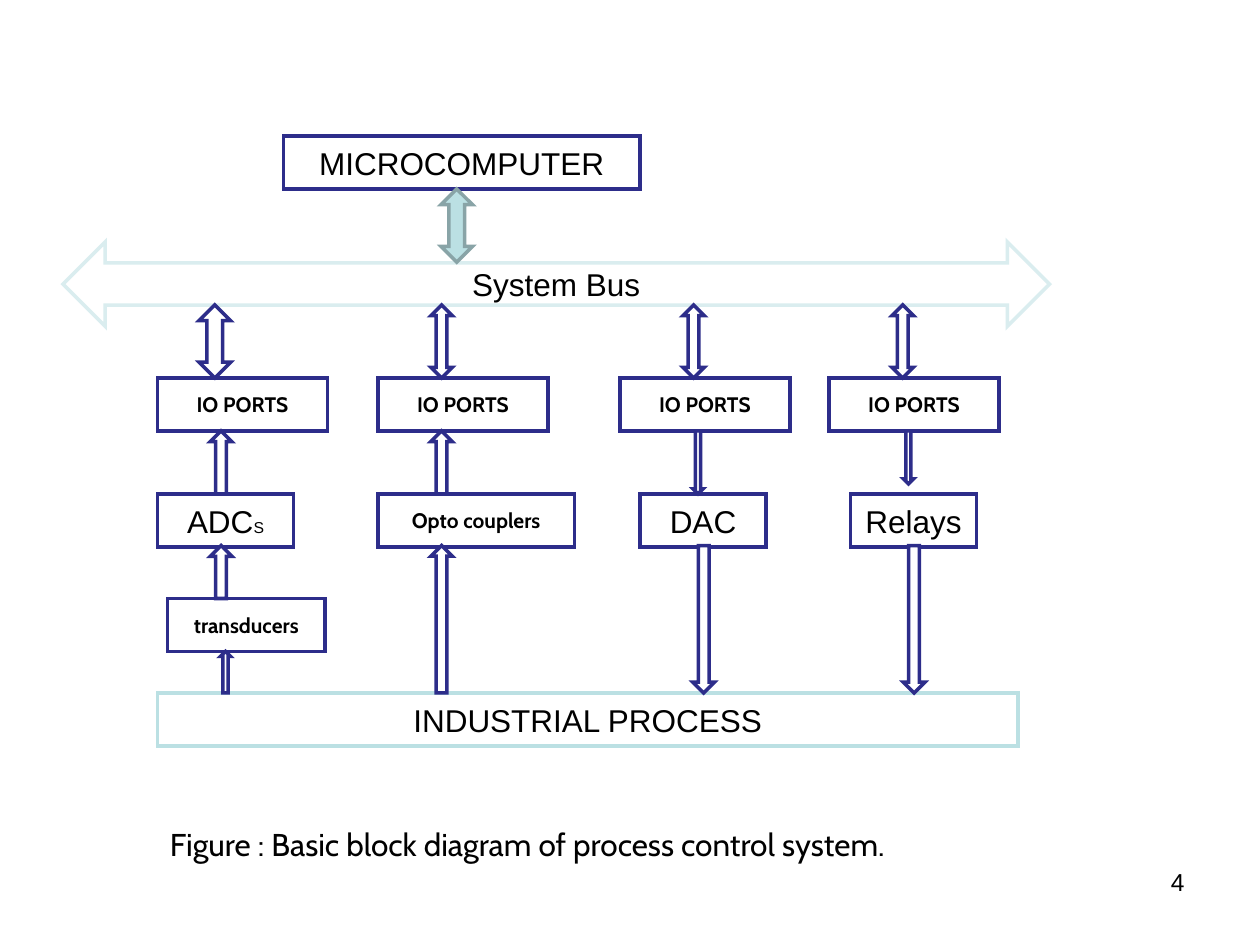
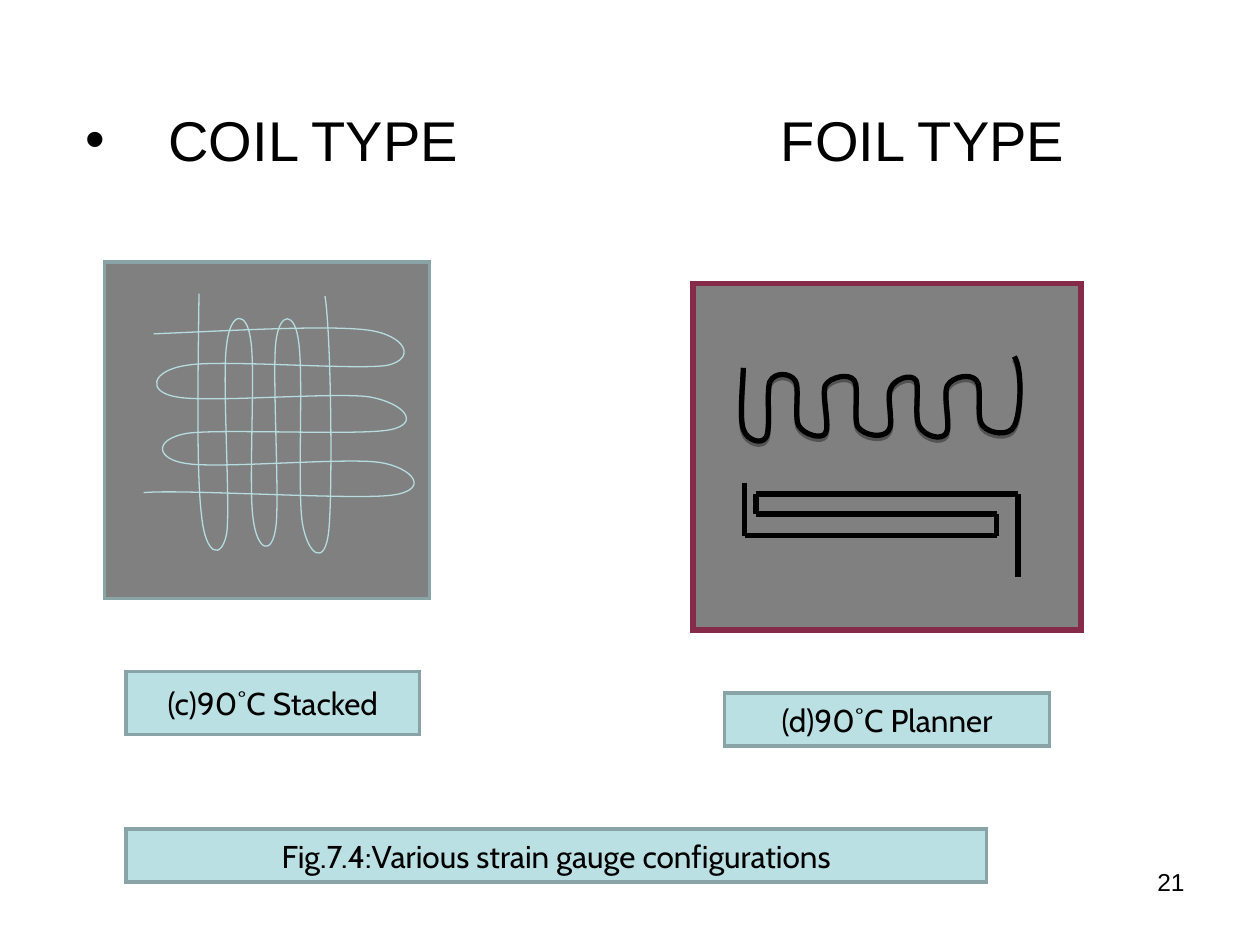
from itertools import pairwise

from lxml.etree import SubElement
from pptx import Presentation
from pptx.dml.color import RGBColor
from pptx.enum.shapes import MSO_CONNECTOR, MSO_SHAPE as SHAPE
from pptx.enum.text import MSO_ANCHOR, PP_ALIGN as ALIGN
from pptx.oxml.ns import qn
from pptx.util import Pt

PX = 9144  # EMU per px, 100 px to the inch
COLORS = {
    "white": "FFFFFF", "black": "000000", "navy": "2D2D8A",
    "aqua": "BBE0E3", "pale": "DAEDEF", "teal": "89A4A7",
    "gray": "808080", "wine": "862A4A", "wire": "B6DCDF",
}
RGB = {name: RGBColor.from_string(value) for name, value in COLORS.items()}
ARIAL, CABIN = "Arial", "Cabin"


def add_block(slide, kind, box, fill="white", line="navy", weight=2):
    """Add a filled preset shape with a sharp-cornered outline and no shadow."""
    sp = slide.shapes.add_shape(kind, *[v * PX for v in box])
    sp.shadow.inherit = False
    sp.fill.solid()
    sp.fill.fore_color.rgb = RGB[fill]
    sp.line.color.rgb = RGB[line]
    sp.line.width = Pt(weight)
    SubElement(sp.line._get_or_add_ln(), qn("a:miter"), lim="800000")
    return sp


def write(sp, text, size=18, font=ARIAL, align=ALIGN.CENTER, bold=False):
    """Append a run to the only paragraph of a shape."""
    tf = sp.text_frame
    tf.word_wrap = True
    p = tf.paragraphs[0]
    p.alignment = align
    r = p.add_run()
    r.text = text
    r.font.size = Pt(size)
    r.font.name = font
    r.font.bold = bold
    r.font.color.rgb = RGB["black"]


prs = Presentation()
prs.slide_width, prs.slide_height = 1000 * PX, 750 * PX
slides = []
for number in ("4", "21"):
    s = prs.slides.add_slide(prs.slide_layouts[6])
    sp = s.shapes.add_textbox(717 * PX, 683 * PX, 233 * PX, 52 * PX)
    write(sp, number, 14, align=ALIGN.RIGHT)
    slides.append(s)
diagram, gauges = slides

# Block diagram: bus, computer, process
bus = add_block(diagram, SHAPE.LEFT_RIGHT_ARROW, (50, 192, 783, 67), line="pale")
write(bus, "System Bus")
computer = add_block(diagram, SHAPE.RECTANGLE, (225, 108, 283, 42))
write(computer, "MICROCOMPUTER")
add_block(diagram, SHAPE.UP_DOWN_ARROW, (350, 150, 25, 58), "aqua", "teal")

for x in (125, 300, 492, 658):
    write(add_block(diagram, SHAPE.RECTANGLE, (x, 300, 135, 42)),
          "IO PORTS", 12, CABIN, bold=True)

for text, x, y, w, size, font in (
    ("ADC", 125, 392, 108, 18, ARIAL),
    ("Opto couplers", 300, 392, 156, 12, CABIN),
    ("DAC", 508, 392, 100, 18, ARIAL),
    ("Relays", 675, 392, 100, 18, ARIAL),
    ("transducers", 133, 475, 125, 12, CABIN),
):
    sp = add_block(diagram, SHAPE.RECTANGLE, (x, y, w, 42))
    write(sp, text, size, font, bold=font == CABIN)
    if text == "ADC":
        write(sp, "S", 9)

process = add_block(diagram, SHAPE.RECTANGLE, (125, 550, 683, 42), line="aqua")
write(process, "INDUSTRIAL PROCESS")

for x, w in ((158, 25), (342, 17), (542, 17), (708, 17)):
    add_block(diagram, SHAPE.UP_DOWN_ARROW, (x, 242, w, 58))
for box in ((167, 342, 17, 50), (342, 342, 17, 50), (167, 433, 17, 42),
            (175, 517, 8, 33), (342, 433, 17, 117)):
    add_block(diagram, SHAPE.UP_ARROW, box)
for box in ((550, 433, 17, 117), (717, 433, 17, 117),
            (550, 342, 8, 50), (717, 342, 8, 42)):
    add_block(diagram, SHAPE.DOWN_ARROW, box)

caption = diagram.shapes.add_textbox(125 * PX, 650 * PX, 667 * PX, 40 * PX)
write(caption, "Figure : Basic block diagram of process control system.",
      18, CABIN, ALIGN.LEFT)

# Strain gauges: headings, the first one bulleted
for text, x in (("COIL TYPE", 58), ("FOIL TYPE", 610)):
    sp = gauges.shapes.add_textbox(x * PX, 79 * PX, 330 * PX, 62 * PX)
    write(sp, text, 32, align=ALIGN.LEFT)
    if text == "COIL TYPE":
        pPr = sp.text_frame.paragraphs[0]._p.get_or_add_pPr()
        pPr.set("marL", str(66 * PX))
        pPr.set("indent", str(-66 * PX))
        SubElement(pPr, qn("a:buFont"), typeface=ARIAL)
        SubElement(pPr, qn("a:buChar"), char="•")

add_block(gauges, SHAPE.RECTANGLE, (83, 208, 258, 267), "gray", "teal")
add_block(gauges, SHAPE.RECTANGLE, (550, 225, 308, 275), "gray", "wine", 3.15)

# Each wire is a start point followed by Bézier triples
COIL_ACROSS = [
    (122, 265), (191, 262), (261, 258), (292, 262),
    (322, 266), (331, 285), (307, 290), (283, 294), (175, 285), (148, 290),
    (120, 294), (116, 311), (140, 315), (164, 320), (265, 311), (293, 315),
    (321, 320), (334, 336), (310, 341), (286, 346), (174, 340), (148, 344),
    (121, 349), (124, 365), (149, 368), (175, 372), (274, 363), (301, 367),
    (328, 371), (342, 389), (311, 393), (280, 397), (145, 388), (114, 391),
]
COIL_DOWN = [
    (158, 233), (157, 305), (156, 378), (160, 409),
    (163, 441), (176, 445), (180, 423), (183, 400), (176, 298), (180, 273),
    (183, 247), (196, 246), (199, 270), (203, 293), (197, 387), (201, 412),
    (204, 437), (216, 442), (219, 418), (222, 395), (216, 296), (219, 271),
    (222, 247), (234, 247), (237, 271), (241, 295), (236, 390), (240, 415),
    (244, 440), (258, 451), (261, 421), (264, 391), (263, 268), (258, 235),
]
FOIL_WAVE = [
    (590, 292), (589, 312), (587, 332), (590, 341),
    (593, 350), (605, 353), (608, 347), (612, 341), (608, 311), (611, 303),
    (615, 295), (627, 296), (631, 302), (635, 307), (630, 331), (634, 338),
    (638, 345), (652, 349), (655, 344), (659, 339), (652, 313), (655, 306),
    (659, 299), (674, 296), (678, 302), (682, 307), (677, 333), (681, 339),
    (686, 346), (701, 348), (705, 342), (710, 337), (703, 314), (707, 308),
    (710, 301), (723, 296), (727, 302), (730, 307), (725, 332), (730, 339),
    (734, 346), (747, 350), (751, 344), (755, 338), (748, 313), (752, 306),
    (756, 299), (770, 296), (775, 302), (780, 307), (774, 332), (780, 338),
    (785, 344), (801, 347), (805, 338), (810, 329), (812, 294), (805, 283),
]
for points, color, weight in ((COIL_ACROSS, "wire", 0.75),
                              (COIL_DOWN, "wire", 0.75),
                              (FOIL_WAVE, "black", 3)):
    builder = gauges.shapes.build_freeform(*points[0], scale=PX)
    builder.add_line_segments(points[1:], close=False)
    sp = builder.convert_to_shape()
    sp.shadow.inherit = False
    sp.fill.background()
    sp.line.color.rgb = RGB[color]
    sp.line.width = Pt(weight)
    # Turn every three line segments into one cubic curve
    outline = next(sp._element.iter(qn("a:path")))
    segments = outline.findall(qn("a:lnTo"))
    for i in range(0, len(segments), 3):
        curve = SubElement(outline, qn("a:cubicBezTo"))
        for segment in segments[i:i + 3]:
            curve.append(segment[0])
            outline.remove(segment)

# The foil wave, last of the three, casts a shadow
effects = sp._element.spPr.find(qn("a:effectLst"))
shadow = SubElement(effects, qn("a:outerShdw"), blurRad="0", dist=str(Pt(1.8)),
                    dir="5400000", rotWithShape="0")
tint = SubElement(shadow, qn("a:srgbClr"), val=COLORS["black"])
SubElement(tint, qn("a:alpha"), val="35000")

FOIL_TRACK = [(808, 458), (808, 392), (600, 392), (600, 408),
              (791, 408), (791, 425), (591, 425), (591, 383)]
for start, end in pairwise(FOIL_TRACK):
    cn = gauges.shapes.add_connector(
        MSO_CONNECTOR.STRAIGHT, *[v * PX for v in start + end])
    cn.line.color.rgb = RGB["black"]
    cn.line.width = Pt(3)
    SubElement(cn._element.spPr, qn("a:effectLst"))

for text, box in (
    ("(c)90˚C Stacked", (100, 533, 233, 50)),
    ("(d)90˚C Planner", (575, 550, 258, 42)),
    ("Fig.7.4:Various strain gauge configurations", (100, 658, 683, 42)),
):
    sp = add_block(gauges, SHAPE.RECTANGLE, box, "aqua", "teal")
    sp.text_frame.vertical_anchor = MSO_ANCHOR.MIDDLE
    write(sp, text, 18, CABIN)

prs.save("out.pptx")
